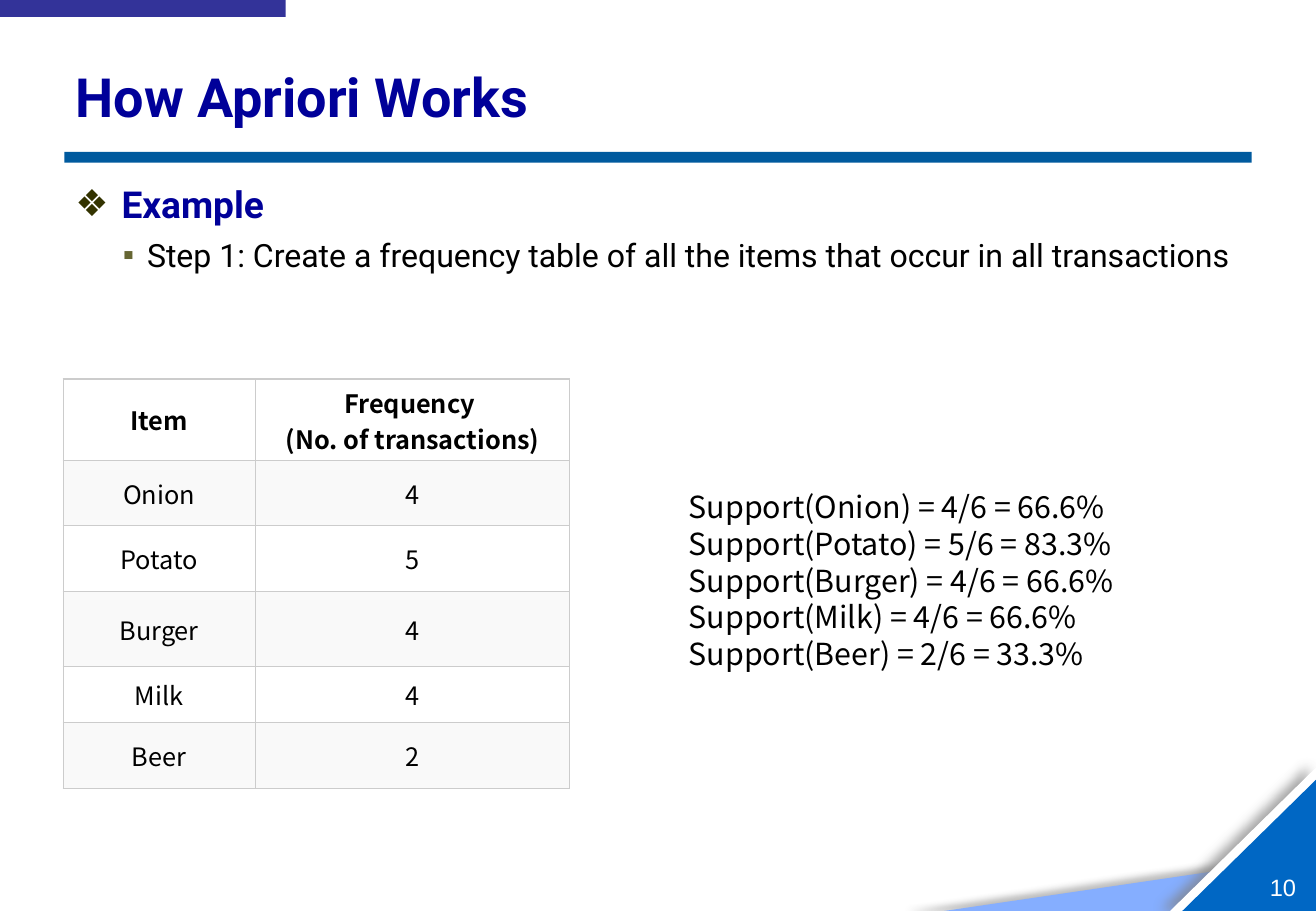
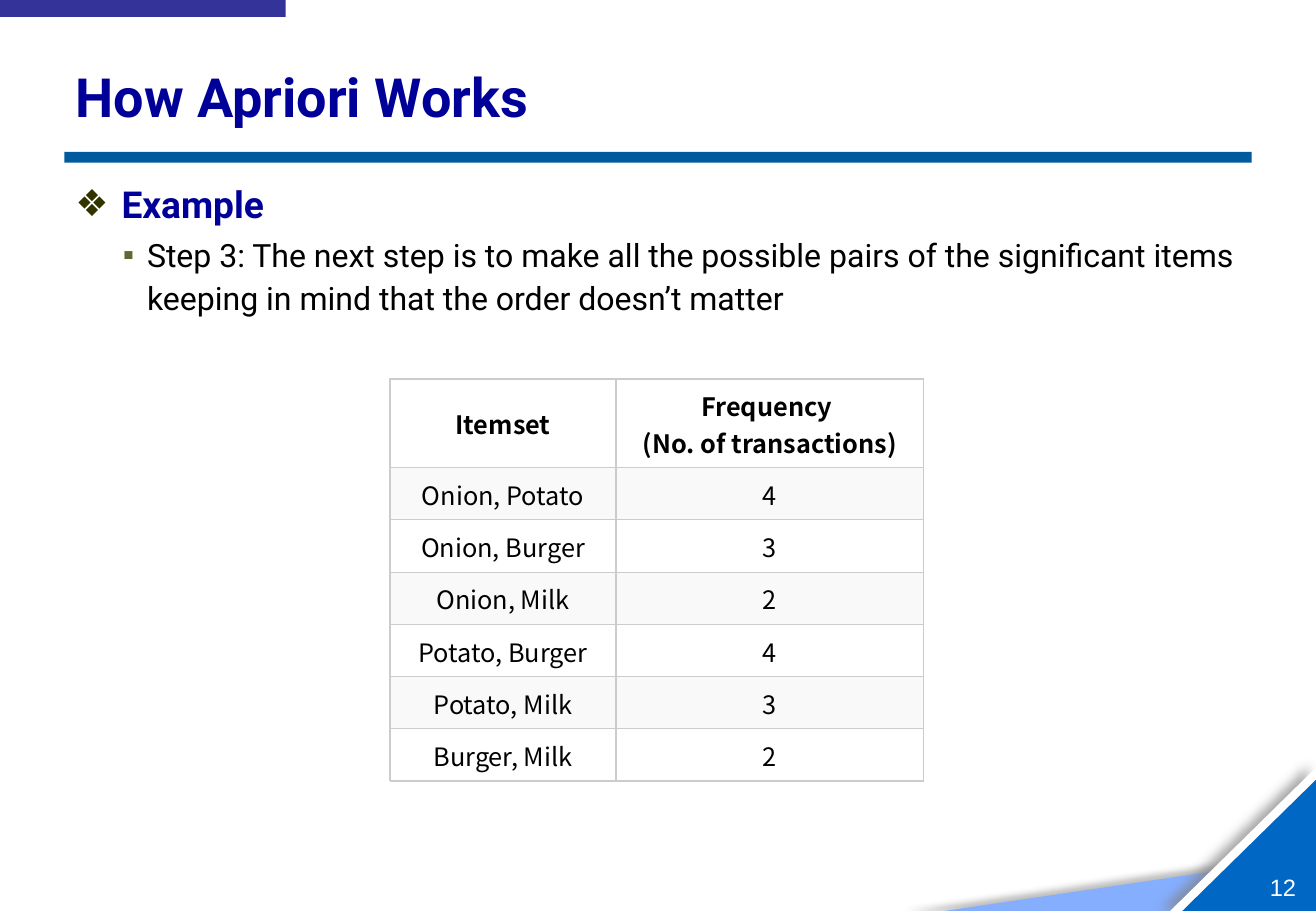
from dataclasses import dataclass
from typing import Any

from lxml.etree import SubElement
from pptx import Presentation
from pptx.dml.color import RGBColor
from pptx.enum.shapes import MSO_SHAPE
from pptx.enum.text import MSO_ANCHOR, MSO_AUTO_SIZE, PP_ALIGN
from pptx.oxml.ns import qn
from pptx.util import Emu, Pt

# Shared look: 100 px to the inch
EMU_PER_PX = 9144
SLIDE_SIZE = (1083, 750)
NAVY, BLACK, WHITE = "000099", "000000", "FFFFFF"
GRID_LINE, BAND_FILL = "CCCCCC", "F9F9F9"
HEADING_FONT, TABLE_FONT = "Roboto", "Noto Sans CJK KR"

TITLE_BOX = (52, 40, 977, 78)
BODY_BOX = (52, 144, 977, 574)
NUMBER_BOX = (1045, 718, 25, 24)


@dataclass(frozen=True)
class Shadow:
    color: str
    alpha: int
    blur: int
    distance: int
    angle: int


@dataclass(frozen=True)
class Decoration:
    kind: MSO_SHAPE
    box: tuple[int, int, int, int]
    color: str
    shadow: Shadow | None = None


@dataclass(frozen=True)
class ListLevel:
    bullet: str
    bullet_color: str
    margin: int
    indent: int
    font: dict[str, Any]
    spacing: dict[str, Any]


@dataclass(frozen=True)
class FrequencyTable:
    position: tuple[int, int]
    columns: tuple[int, ...]
    rows: tuple[int, ...]
    padding: int
    item_header: str
    items: tuple[tuple[str, int], ...]


@dataclass(frozen=True)
class Step:
    number: int
    text: str
    table: FrequencyTable
    support: tuple[str, ...] = ()


DECORATIONS = (
    Decoration(MSO_SHAPE.RIGHT_TRIANGLE, (777, 705, 306, 45), "85AEFF",
               Shadow("595959", 40, 4, 22, 180)),
    Decoration(MSO_SHAPE.RIGHT_TRIANGLE, (963, 632, 120, 118), WHITE,
               Shadow("808080", 69, 7, 5, 190)),
    Decoration(MSO_SHAPE.RIGHT_TRIANGLE, (973, 642, 110, 108), "0067C4"),
    Decoration(MSO_SHAPE.RECTANGLE, (53, 125, 977, 9), "005A9E"),
    Decoration(MSO_SHAPE.RECTANGLE, (0, 0, 235, 14), "333399"),
)

TITLE_FORMAT = {"name": HEADING_FONT, "size": Pt(32), "bold": True}
NUMBER_FORMAT = {"name": "Arial", "size": Pt(14)}
SUPPORT_FORMAT = {"name": TABLE_FONT, "size": Pt(18)}
CELL_FORMAT = {"name": TABLE_FONT, "size": Pt(15)}

HEADING_LEVEL = ListLevel(
    "❖", "333300", 38, -38,
    {"name": HEADING_FONT, "size": Pt(22), "bold": True},
    {"level": 0, "space_before": Pt(4.4)})
STEP_LEVEL = ListLevel(
    "▪", "666633", 59, -20,
    {"name": HEADING_FONT, "size": Pt(19), "bold": False},
    {"level": 1, "line_spacing": 1.1, "space_before": Pt(3.8), "space_after": Pt(1)})

STEPS = (
    Step(10, "Step 1: Create a frequency table of all the items that occur in all transactions",
         FrequencyTable((52, 312), (158, 259), (67, 54, 54, 62, 46, 54), 4, "Item",
                        (("Onion", 4), ("Potato", 5), ("Burger", 4), ("Milk", 4), ("Beer", 2))),
         ("Support(Onion) = 4/6 = 66.6%",
          "Support(Potato) = 5/6 = 83.3%",
          "Support(Burger) = 4/6 = 66.6%",
          "Support(Milk) = 4/6 = 66.6%",
          "Support(Beer) = 2/6 = 33.3%")),
    Step(12, "Step 3: The next step is to make all the possible pairs of the significant items "
             "keeping in mind that the order doesn’t matter",
         FrequencyTable((321, 312), (186, 253), (73,) + (43,) * 6, 7, "Itemset",
                        (("Onion, Potato", 4), ("Onion, Burger", 3), ("Onion, Milk", 2),
                         ("Potato, Burger", 4), ("Potato, Milk", 3), ("Burger, Milk", 2)))),
)


# Helpers
def px(length: int) -> Emu:
    return Emu(length * EMU_PER_PX)


def scaled(box: tuple[int, ...]) -> list[Emu]:
    return [px(length) for length in box]


def color_of(value: str) -> RGBColor:
    return RGBColor.from_string(value)


def set_attributes(target: Any, values: dict[str, Any]) -> None:
    for name, value in values.items():
        setattr(target, name, value)


def write(paragraph: Any, text: str, font: dict[str, Any], color: str = BLACK) -> None:
    run = paragraph.add_run()
    run.text = text
    set_attributes(run.font, font)
    run.font.color.rgb = color_of(color)


def next_paragraph(frame: Any, index: int) -> Any:
    return frame.add_paragraph() if index else frame.paragraphs[0]


# Layout: bands, corner and placeholder places
def add_shadow(shape: Any, shadow: Shadow) -> None:
    effects = shape.element.spPr.find(qn("a:effectLst"))
    outer = SubElement(effects, qn("a:outerShdw"), {
        "blurRad": str(Pt(shadow.blur)), "dist": str(Pt(shadow.distance)),
        "dir": str(shadow.angle * 60000), "algn": "ctr", "rotWithShape": "0"})
    color = SubElement(outer, qn("a:srgbClr"), val=shadow.color)
    SubElement(color, qn("a:alpha"), val=str(shadow.alpha * 1000))


def add_decoration(slide: Any, decoration: Decoration) -> Any:
    shape = slide.shapes.add_shape(decoration.kind, *scaled(decoration.box))
    shape.shadow.inherit = False
    shape.fill.solid()
    shape.fill.fore_color.rgb = color_of(decoration.color)
    shape.line.fill.background()
    if decoration.kind == MSO_SHAPE.RIGHT_TRIANGLE:
        shape.element.spPr.find(qn("a:xfrm")).set("flipH", "1")
    if decoration.shadow:
        add_shadow(shape, decoration.shadow)
    return shape


def prepare_layout(layout: Any, slide: Any) -> None:
    """Draw the decorations through a slide, then move them to its layout."""
    for placeholder, box in zip(layout.placeholders, (TITLE_BOX, BODY_BOX)):
        set_attributes(placeholder, dict(zip(("left", "top", "width", "height"), scaled(box))))
    for index, decoration in enumerate(DECORATIONS):
        shape = add_decoration(slide, decoration)
        shape.element.nvSpPr.cNvPr.set("id", str(100 + index))
        layout.shapes.element.insert(2 + index, shape.element)


# Slide parts
def add_title(slide: Any, text: str) -> None:
    frame = slide.shapes.title.text_frame
    set_attributes(frame, {"vertical_anchor": MSO_ANCHOR.MIDDLE, "auto_size": MSO_AUTO_SIZE.NONE})
    frame.paragraphs[0].alignment = PP_ALIGN.LEFT
    write(frame.paragraphs[0], text, TITLE_FORMAT, NAVY)


def add_list(slide: Any, step_text: str) -> None:
    frame = slide.placeholders[1].text_frame
    frame.auto_size = MSO_AUTO_SIZE.NONE
    lines = ((HEADING_LEVEL, "Example", NAVY), (STEP_LEVEL, step_text, BLACK))
    for index, (level, text, color) in enumerate(lines):
        paragraph = next_paragraph(frame, index)
        set_attributes(paragraph, level.spacing)
        properties = paragraph._p.get_or_add_pPr()
        properties.set("marL", str(px(level.margin)))
        properties.set("indent", str(px(level.indent)))
        bullet_color = SubElement(properties, qn("a:buClr"))
        SubElement(bullet_color, qn("a:srgbClr"), val=level.bullet_color)
        SubElement(properties, qn("a:buChar"), char=level.bullet)
        write(paragraph, text, level.font, color)


def add_number(slide: Any, number: int) -> None:
    frame = slide.shapes.add_textbox(*scaled(NUMBER_BOX)).text_frame
    set_attributes(frame, {"margin_left": 0, "margin_right": 0, "margin_top": 0,
                           "margin_bottom": 0, "word_wrap": False,
                           "vertical_anchor": MSO_ANCHOR.MIDDLE})
    write(frame.paragraphs[0], str(number), NUMBER_FORMAT, WHITE)


def add_borders(cell: Any) -> None:
    properties = cell._tc.get_or_add_tcPr()
    for side in ("lnL", "lnR", "lnT", "lnB"):
        line = SubElement(properties, qn(f"a:{side}"), w=str(Pt(0.75)))
        fill = SubElement(line, qn("a:solidFill"))
        SubElement(fill, qn("a:srgbClr"), val=GRID_LINE)


def fill_cell(cell: Any, text: str, padding: int, row: int) -> None:
    add_borders(cell)
    if row % 2:
        cell.fill.solid()
        cell.fill.fore_color.rgb = color_of(BAND_FILL)
    else:
        cell.fill.background()
    set_attributes(cell, {"vertical_anchor": MSO_ANCHOR.MIDDLE,
                          **{f"margin_{side}": px(padding)
                             for side in ("left", "right", "top", "bottom")}})
    for index, line in enumerate(text.split("\n")):
        paragraph = next_paragraph(cell.text_frame, index)
        paragraph.alignment = PP_ALIGN.CENTER
        write(paragraph, line, {**CELL_FORMAT, "bold": row == 0})


def add_frequency_table(slide: Any, data: FrequencyTable) -> None:
    box = (*data.position, sum(data.columns), sum(data.rows))
    table = slide.shapes.add_table(len(data.rows), len(data.columns), *scaled(box)).table
    set_attributes(table, {"first_row": False, "horz_banding": False})
    for column, width in zip(table.columns, data.columns):
        column.width = px(width)
    for row, height in zip(table.rows, data.rows):
        row.height = px(height)
    content = ((data.item_header, "Frequency \n(No. of transactions)"), *data.items)
    for row_index, values in enumerate(content):
        for column_index, value in enumerate(values):
            fill_cell(table.cell(row_index, column_index), str(value), data.padding, row_index)


def add_support(slide: Any, lines: tuple[str, ...]) -> None:
    frame = slide.shapes.add_textbox(*scaled((557, 397, 420, 162))).text_frame
    frame.word_wrap = True
    for index, line in enumerate(lines):
        paragraph = next_paragraph(frame, index)
        paragraph.line_spacing = Pt(21.7)
        write(paragraph, line, SUPPORT_FORMAT)


def main() -> None:
    presentation = Presentation()
    presentation.slide_width, presentation.slide_height = scaled(SLIDE_SIZE)
    layout = presentation.slide_layouts[1]
    for index, step in enumerate(STEPS):
        slide = presentation.slides.add_slide(layout)
        if index == 0:
            prepare_layout(layout, slide)
        add_number(slide, step.number)
        add_title(slide, "How Apriori Works")
        add_list(slide, step.text)
        add_frequency_table(slide, step.table)
        if step.support:
            add_support(slide, step.support)
    presentation.save("out.pptx")


if __name__ == "__main__":
    main()
